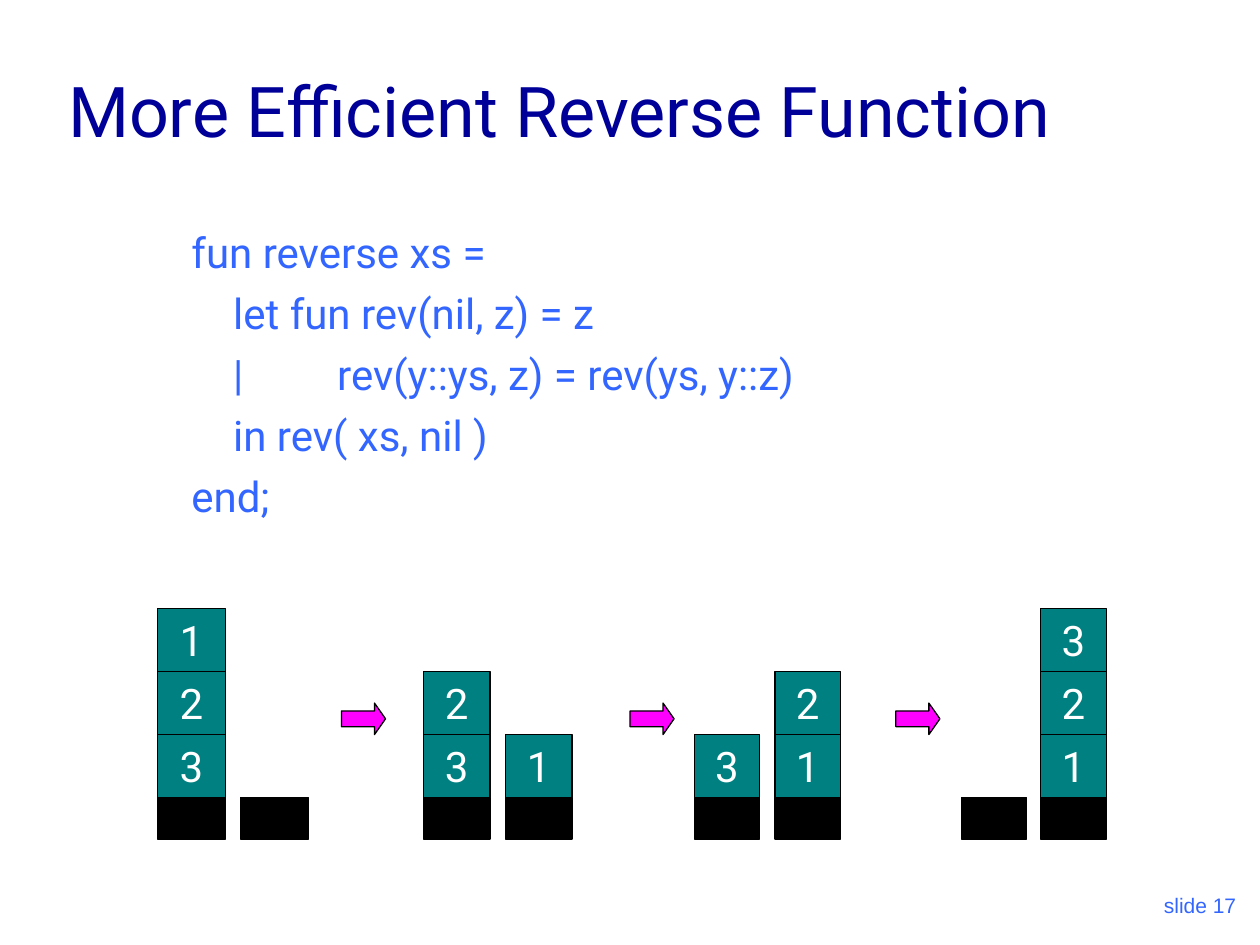
from pptx import Presentation
from pptx.dml.color import RGBColor
from pptx.enum import shapes, text
from pptx.util import Inches, Pt

COLORS = {"title": "000099", "code": "3366FF", "cell": "008080",
          "base": "000000", "arrow": "FF00FF", "line": "000000", "number": "FFFFFF"}


def set_font(p, name, size, color):
    p.font.name = name
    p.font.size = Pt(size)
    p.font.color.rgb = RGBColor.from_string(COLORS[color])


def add_block(group, kind, x, y, w, h, color):
    sp = group.shapes.add_shape(kind, Inches(x), Inches(y), Inches(w), Inches(h))
    sp.shadow.inherit = False
    sp.fill.solid()
    sp.fill.fore_color.rgb = RGBColor.from_string(COLORS[color])
    sp.line.color.rgb = RGBColor.from_string(COLORS["line"])
    sp.line.width = Pt(0.75)
    return sp


prs = Presentation()
prs.slide_width, prs.slide_height = Inches(10), Inches(7.5)
s = prs.slides.add_slide(prs.slide_layouts[5])

title = s.shapes.title
title.left, title.top, title.width, title.height = (
    Inches(0.44), Inches(0.25), Inches(8.5), Inches(1))
tf = title.text_frame
tf.text = "More Efficient Reverse Function"
tf.auto_size = text.MSO_AUTO_SIZE.NONE
tf.vertical_anchor = text.MSO_ANCHOR.BOTTOM
p = tf.paragraphs[0]
p.alignment = text.PP_ALIGN.LEFT
set_font(p, "Roboto", 40, "title")

code_lines = [
    "fun reverse xs =",
    "    let fun rev(nil, z) = z",
    "    |         rev(y::ys, z) = rev(ys, y::z)",
    "    in rev( xs, nil )",
    "end;",
]
code = s.shapes.add_textbox(Inches(0.92), Inches(1.75), Inches(8.53), Inches(2.92))
tf = code.text_frame
tf.word_wrap = True
tf.margin_left = Inches(0.6)
for i, line in enumerate(code_lines):
    p = tf.paragraphs[0] if i == 0 else tf.add_paragraph()
    p.text = line
    if i:
        p.space_before = Pt(6)
    set_font(p, "Roboto", 24, "code")

base_top, base_height, cell_height = 6.33, 0.33, 0.5
steps = [
    (None, 0.54, [(1.25, "321"), (1.91, "")]),
    (2.71, 0.53, [(3.36, "32"), (4.01, "1")]),
    (5.00, 0.52, [(5.51, "3"), (6.15, "12")]),
    (7.11, 0.52, [(7.63, ""), (8.26, "123")]),
]
for arrow_left, width, stacks in steps:
    group = s.shapes.add_group_shape()
    if arrow_left is not None:
        arrow = add_block(group, shapes.MSO_SHAPE.RIGHT_ARROW,
                          arrow_left, 5.58, 0.35, 0.25, "arrow")
        arrow.adjustments[1] = 0.35
    for left, numbers in stacks:
        add_block(group, shapes.MSO_SHAPE.RECTANGLE,
                  left, base_top, width, base_height, "base")
        for level, number in enumerate(numbers, 1):
            cell = add_block(group, shapes.MSO_SHAPE.RECTANGLE, left,
                             base_top - level * cell_height, width, cell_height, "cell")
            tf = cell.text_frame
            tf.text = number
            tf.word_wrap = False
            tf.vertical_anchor = text.MSO_ANCHOR.MIDDLE
            p = tf.paragraphs[0]
            p.alignment = text.PP_ALIGN.CENTER
            set_font(p, "Roboto", 24, "number")

slide_number = s.shapes.add_textbox(Inches(7.83), Inches(6.83), Inches(2.08), Inches(0.5))
tf = slide_number.text_frame
tf.text = "slide 17"
tf.word_wrap = True
tf.vertical_anchor = text.MSO_ANCHOR.BOTTOM
p = tf.paragraphs[0]
p.alignment = text.PP_ALIGN.RIGHT
set_font(p, "Arial", 12, "code")

prs.save("out.pptx")
